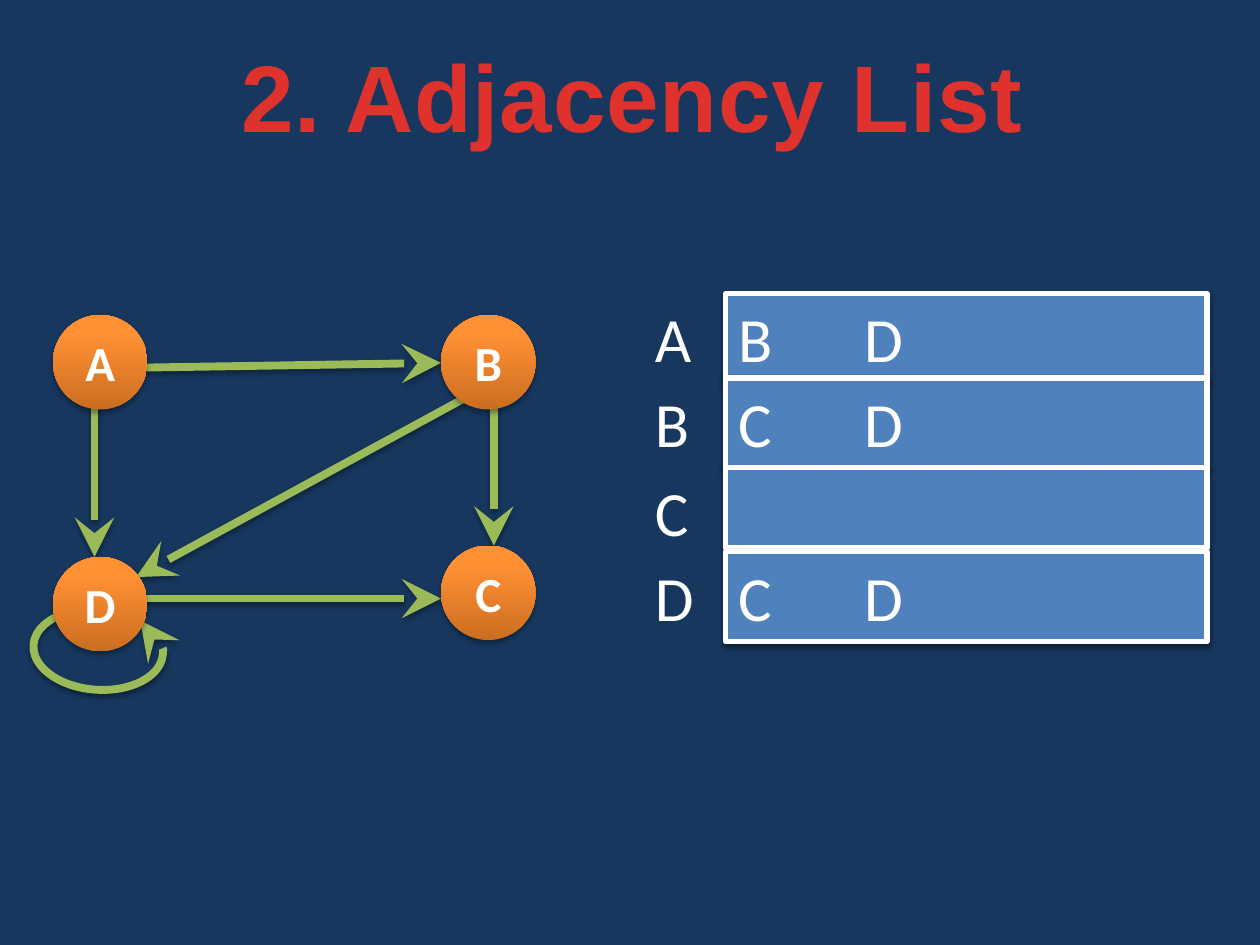
from dataclasses import dataclass

from lxml.etree import SubElement
from pptx import Presentation
from pptx.dml.color import RGBColor
from pptx.enum.shapes import MSO_CONNECTOR as Connector, MSO_SHAPE as Shape
from pptx.enum.text import MSO_ANCHOR as Anchor, MSO_AUTO_SIZE as AutoSize, PP_ALIGN as Align
from pptx.oxml.ns import qn
from pptx.util import Inches, Pt


@dataclass(frozen=True)
class Theme:
    background: str = "17375E"
    title: str = "E0322D"
    text: str = "FFFFFF"
    edge: str = "9BBB59"
    node_dark: str = "CC6E20"
    node_light: str = "FF9034"
    row: str = "4F81BD"
    heading_font: str = "Arial"
    body_font: str = "Calibri"
    title_size: int = 54
    node_size: int = 28
    list_size: int = 36
    edge_width: float = 4.5
    border_width: float = 3


THEME = Theme()


def rgb(value):
    return RGBColor.from_string(value)


def write_text(shape, text, size, font=THEME.body_font, color=THEME.text, bold=False,
               align=Align.LEFT, anchor=Anchor.TOP, wrap=True, spacing=0, tab=0):
    frame = shape.text_frame
    frame.word_wrap = wrap
    frame.auto_size = AutoSize.NONE
    frame.vertical_anchor = anchor
    paragraph = frame.paragraphs[0]
    paragraph.alignment = align
    if tab:
        tabs = SubElement(paragraph._p.get_or_add_pPr(), qn("a:tabLst"))
        SubElement(tabs, qn("a:tab"), pos=str(Inches(tab)), algn="l")
    run = paragraph.add_run()
    run.text = text
    run.font.size = Pt(size)
    run.font.name = font
    run.font.bold = bold
    run.font.color.rgb = rgb(color)
    if spacing:
        run._r.get_or_add_rPr().set("spc", str(round(spacing * 100)))


def add_shadow(shape, alpha=35, distance=1.8):
    effects = SubElement(shape._element.spPr, qn("a:effectLst"))
    shadow = SubElement(effects, qn("a:outerShdw"), blurRad=str(Pt(3.1)),
                        dist=str(Pt(distance)), dir="5400000", rotWithShape="0")
    color = SubElement(shadow, qn("a:srgbClr"), val="000000")
    SubElement(color, qn("a:alpha"), val=str(alpha * 1000))


def style_edge(edge):
    edge.line.color.rgb = rgb(THEME.edge)
    edge.line.width = Pt(THEME.edge_width)
    SubElement(edge.line._get_or_add_ln(), qn("a:tailEnd"), type="stealth",
               w="lg", len="lg")
    add_shadow(edge)


def add_title(slide, left, top, width, height):
    title = slide.shapes.title
    title.left, title.top = Inches(left), Inches(top)
    title.width, title.height = Inches(width), Inches(height)
    write_text(title, "2. Adjacency List", THEME.title_size, font=THEME.heading_font,
               color=THEME.title, bold=True, align=Align.CENTER, wrap=False, spacing=0.5)


def add_self_loop(slide, left, top):
    loop = slide.shapes.add_shape(Shape.ARC, Inches(left), Inches(top),
                                  Inches(0.64), Inches(1.03))
    start, end = 213.87, 128.53
    loop.adjustments[0] = start * 0.6
    loop.adjustments[1] = end * 0.6
    loop.rotation = 94
    loop._element.spPr.find(qn("a:xfrm")).set("flipV", "1")
    loop.fill.background()
    style_edge(loop)


def add_node(slide, name, left, top):
    node = slide.shapes.add_shape(Shape.OVAL, Inches(left), Inches(top),
                                  Inches(0.75), Inches(0.75))
    node.fill.gradient()
    node.fill.gradient_angle = 90
    stops = ((0, THEME.node_dark), (0.8, THEME.node_light))
    for stop, (position, color) in zip(node.fill.gradient_stops, stops):
        stop.position = position
        stop.color.rgb = rgb(color)
    node.line.fill.background()
    add_shadow(node)
    write_text(node, name, THEME.node_size, bold=True, align=Align.CENTER,
               anchor=Anchor.MIDDLE)


def add_graph(slide, left, top):
    edges = (
        (3.25, 0.67, 0.66, 2.08),
        (3.5, 0.67, 3.5, 1.83),
        (0.33, 0.67, 0.33, 1.92),
        (0.58, 2.25, 3.08, 2.25),
        (0.58, 0.42, 3.08, 0.38),
    )
    nodes = {"A": (0, 0), "C": (3.08, 1.83), "B": (3.08, 0), "D": (0, 1.92)}
    add_self_loop(slide, left + 0.04, top + 2.14)
    for x1, y1, x2, y2 in edges:
        edge = slide.shapes.add_connector(
            Connector.STRAIGHT, Inches(left + x1), Inches(top + y1),
            Inches(left + x2), Inches(top + y2))
        style_edge(edge)
    for name, (x, y) in nodes.items():
        add_node(slide, name, left + x, top + y)


def add_adjacency_list(slide, left, top, width):
    label_width = 0.66
    rows = (
        ("A", "B\tD", 0, 0.71),
        ("B", "C\tD", 0.67, 0.71),
        ("C", "", 1.38, 0.64),
        ("D", "C\tD", 2.05, 0.71),
    )
    for vertex, neighbours, offset, height in rows:
        row_top = Inches(top + offset)
        label = slide.shapes.add_textbox(Inches(left), row_top,
                                         Inches(label_width), Inches(0.71))
        write_text(label, vertex, THEME.list_size)
        row = slide.shapes.add_shape(Shape.RECTANGLE, Inches(left + label_width), row_top,
                                     Inches(width - label_width), Inches(height))
        row.fill.solid()
        row.fill.fore_color.rgb = rgb(THEME.row)
        row.line.color.rgb = rgb(THEME.text)
        row.line.width = Pt(THEME.border_width)
        add_shadow(row, alpha=38, distance=1.6)
        if neighbours:
            write_text(row, neighbours, THEME.list_size, tab=1)


def main():
    deck = Presentation()
    deck.slide_width, deck.slide_height = Inches(10), Inches(7.5)
    slide = deck.slides.add_slide(deck.slide_layouts.get_by_name("Title Only"))
    slide.background.fill.solid()
    slide.background.fill.fore_color.rgb = rgb(THEME.background)
    add_graph(slide, left=0.42, top=2.5)
    add_title(slide, left=1.78, top=0.25, width=6.48, height=1.01)
    add_adjacency_list(slide, left=5.1, top=2.33, width=4.48)
    deck.save("out.pptx")


if __name__ == "__main__":
    main()
